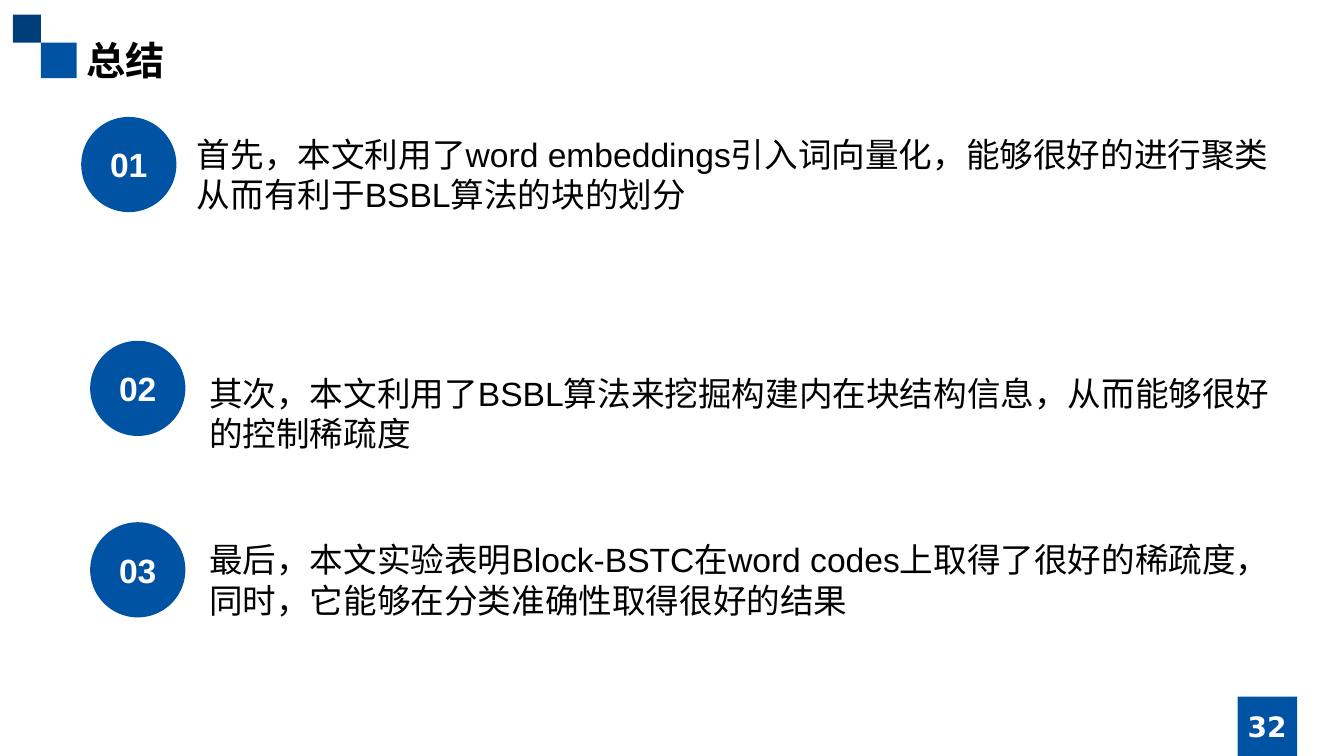
"""Build the summary slide with three numbered points."""
from dataclasses import dataclass

import pptx
import pptx.dml.color
import pptx.enum.shapes
import pptx.enum.text
import pptx.oxml.ns
import pptx.util
from lxml import etree

Pt = pptx.util.Pt
Shape = pptx.enum.shapes.MSO_SHAPE
Align = pptx.enum.text.PP_ALIGN
Anchor = pptx.enum.text.MSO_ANCHOR


@dataclass(frozen=True)
class Theme:
    """Hold the colours, fonts and type sizes."""
    blue: str = "0053A3"
    navy: str = "003E7A"
    white: str = "FFFFFF"
    black: str = "000000"
    body: str = "Arial"
    han: str = "Noto Sans CJK SC"
    digit: str = "DejaVu Sans"
    head: int = 28
    text: int = 24
    page: int = 20


THEME = Theme()
DISC = 68
POINTS = [
    ("01", (58, 83.5), (133.5, 92),
     "首先，本文利用了word embeddings引入词向量化，能够很好的进行聚类从而有利于BSBL算法的块的划分"),
    ("02", (64.4, 243.4), (142.3, 262.8),
     "其次，本文利用了BSBL算法来挖掘构建内在块结构信息，从而能够很好的控制稀疏度"),
    ("03", (64.4, 373), (142.3, 381.6),
     "最后，本文实验表明Block-BSTC在word codes上取得了很好的稀疏度，同时，它能够在分类准确性取得很好的结果"),
]


def color(code):
    """Turn a hex code into a colour."""
    return pptx.dml.color.RGBColor.from_string(code)


def write(shape, text, size, face, ink, bold=False, align=Align.LEFT, anchor=Anchor.TOP):
    """Put one styled paragraph in a shape."""
    frame = shape.text_frame
    frame.word_wrap = True
    frame.auto_size = pptx.enum.text.MSO_AUTO_SIZE.NONE
    frame.vertical_anchor = anchor
    frame.text = text
    para = frame.paragraphs[0]
    para.alignment = align
    font = para.font
    font.size, font.name, font.bold = Pt(size), face, bold
    font.color.rgb = color(ink)
    props = para._p.find(".//" + pptx.oxml.ns.qn("a:defRPr"))
    etree.SubElement(props, pptx.oxml.ns.qn("a:ea"), typeface=THEME.han)


def block(slide, kind, left, top, side, fill):
    """Draw a plain shape of equal width and height."""
    shape = slide.shapes.add_shape(kind, Pt(left), Pt(top), Pt(side), Pt(side))
    shape.shadow.inherit = False
    shape.fill.solid()
    shape.fill.fore_color.rgb = color(fill)
    shape.line.fill.background()
    return shape


def label(slide, left, top, width, height, *args, **style):
    """Add a text box with styled text."""
    box = slide.shapes.add_textbox(Pt(left), Pt(top), Pt(width), Pt(height))
    write(box, *args, **style)


def title(slide, text):
    """Place and style the slide title."""
    head = slide.shapes.title
    head.left, head.top, head.width, head.height = Pt(54.7), Pt(22.3), Pt(850), Pt(41)
    write(head, text, THEME.head, THEME.han, THEME.black, bold=True)


def point(slide, number, disc, place, text):
    """Add a numbered disc and its statement."""
    shape = block(slide, Shape.OVAL, *disc, DISC, THEME.blue)
    write(shape, number, THEME.text, THEME.body, THEME.white, bold=True,
          align=Align.CENTER, anchor=Anchor.MIDDLE)
    label(slide, *place, 780, 65.5, text, THEME.text, THEME.body, THEME.black)


def main():
    """Build and save the slide."""
    deck = pptx.Presentation()
    deck.slide_width, deck.slide_height = Pt(960), Pt(540)
    slide = deck.slides.add_slide(deck.slide_layouts[5])
    block(slide, Shape.RECTANGLE, 29.3, 30.4, 25.4, THEME.blue)
    block(slide, Shape.RECTANGLE, 9.3, 10.5, 20, THEME.navy)
    block(slide, Shape.RECTANGLE, 884, 497.5, 42.5, THEME.blue)
    title(slide, "总结")
    label(slide, 850.3, 504.6, 109.5, 29, "32", THEME.page, THEME.digit, THEME.white,
          bold=True, align=Align.CENTER, anchor=Anchor.MIDDLE)
    for item in POINTS:
        point(slide, *item)
    deck.save("out.pptx")


if __name__ == "__main__":
    main()
